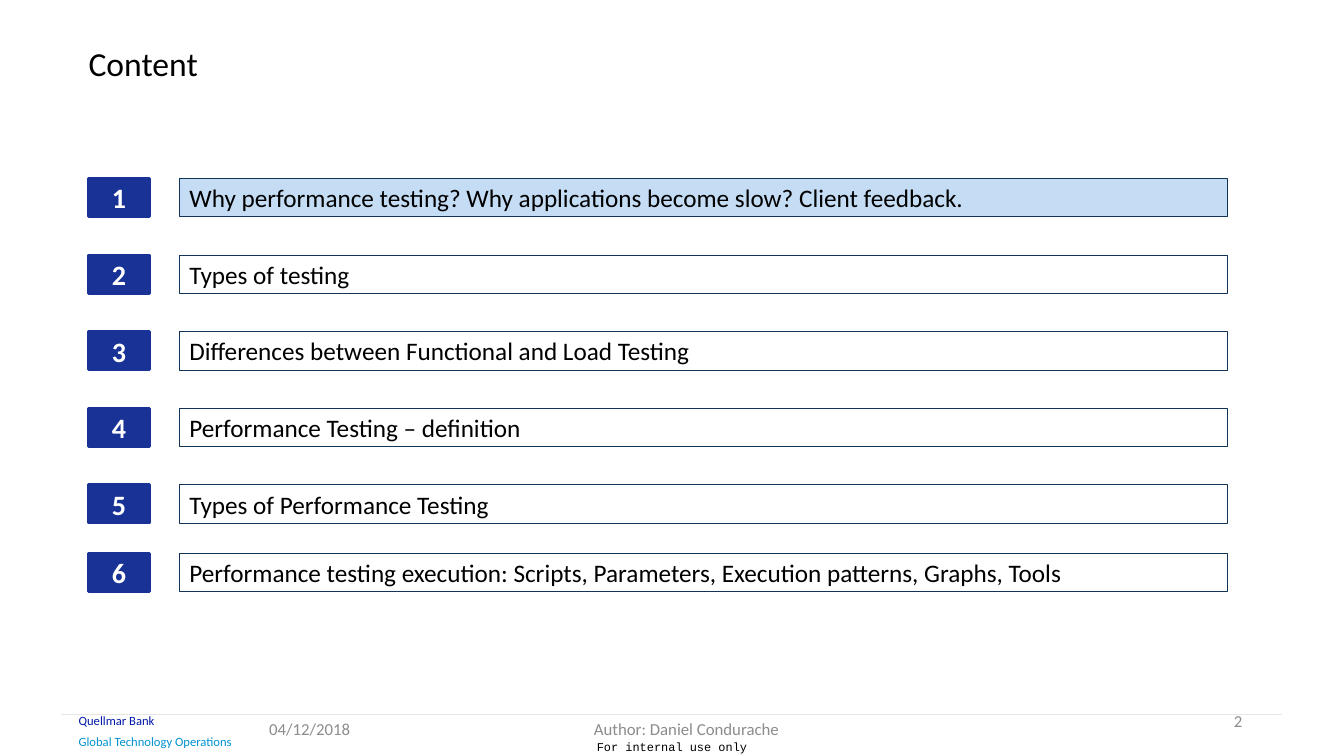
import pptx
import pptx.util
import pptx.dml.color
import pptx.enum.shapes
import pptx.enum.text
import pptx.oxml

Inches, Pt = pptx.util.Inches, pptx.util.Pt
RGBColor = pptx.dml.color.RGBColor
Align = pptx.enum.text.PP_ALIGN
Anchor = pptx.enum.text.MSO_ANCHOR

BLACK = RGBColor(0x00, 0x00, 0x00)
WHITE = RGBColor(0xFF, 0xFF, 0xFF)
GREY = RGBColor(0x8C, 0x8C, 0x8C)
RULE_GREY = RGBColor(0xE7, 0xE6, 0xE6)
NUMBER_BLUE = RGBColor(0x19, 0x32, 0x96)
OUTLINE_BLUE = RGBColor(0x12, 0x34, 0x57)
HIGHLIGHT = RGBColor(0xC4, 0xDC, 0xF4)
BANK_BLUE = RGBColor(0x00, 0x18, 0xA8)
UNIT_BLUE = RGBColor(0x00, 0x92, 0xD0)

TITLE = "Content"
TOPICS = [
    "Why performance testing? Why applications become slow? Client feedback.",
    "Types of testing",
    "Differences between Functional and Load Testing",
    "Performance Testing – definition",
    "Types of Performance Testing",
    "Performance testing execution: Scripts, Parameters, Execution patterns, Graphs, Tools",
]
CURRENT_TOPIC = 1

# text, (left, top, width, height), size, colour, alignment, anchor, font, (left inset, top inset)
LABELS = [
    (TITLE, (0.78, 0.42, 9.25, 0.59), 24, BLACK, Align.LEFT, Anchor.TOP, "Calibri", (0.1, 0.05)),
    ("For internal use only", (0, 7.29, 13.33, 0.25), 8.5, BLACK, Align.CENTER, Anchor.TOP,
     "Courier New", (0.1, 0.05)),
    ("Quellmar Bank", (0.19, 7.03, 2.2, 0.19), 9, BANK_BLUE, Align.LEFT, Anchor.TOP, "Calibri", (0.59, 0.04)),
    ("Global Technology Operations", (0.19, 7.22, 2.2, 0.28), 9, UNIT_BLUE, Align.LEFT, Anchor.TOP,
     "Calibri", (0.59, 0.06)),
    ("2", (9.42, 6.95, 3, 0.4), 12, GREY, Align.RIGHT, Anchor.MIDDLE, "Calibri", (0.1, 0.05)),
    ("04/12/2018", (2.57, 7.03, 1.39, 0.4), 12, GREY, Align.LEFT, Anchor.MIDDLE, "Calibri", (0.1, 0.05)),
    ("Author: Daniel Condurache", (4.56, 7.03, 4.5, 0.4), 12, GREY, Align.CENTER, Anchor.MIDDLE,
     "Calibri", (0.1, 0.05)),
]

FIRST_ROW, ROW_PITCH, LAST_PITCH, ROW_HEIGHT = 1.77, 0.76, 0.68, 0.38
NUMBER_LEFT, NUMBER_WIDTH = 0.88, 0.6
TOPIC_LEFT, TOPIC_WIDTH = 1.78, 10.39


def write(box, text, size, color, align, anchor, font="Calibri", bold=False):
    frame = box.text_frame
    frame.word_wrap = True
    frame.vertical_anchor = anchor
    para = frame.paragraphs[0]
    para.text = text
    para.alignment = align
    para.font.name = font
    para.font.size = Pt(size)
    para.font.bold = bold
    para.font.color.rgb = color
    if text == TITLE:
        para.line_spacing = 0.9


def add_bar(slide, left, top, width, fill, line, line_width):
    bar = slide.shapes.add_shape(
        pptx.enum.shapes.MSO_SHAPE.RECTANGLE,
        *map(Inches, (left, top, width, ROW_HEIGHT)))
    bar.shadow.inherit = False
    bar.fill.solid()
    bar.fill.fore_color.rgb = fill
    bar.line.color.rgb = line
    bar.line.width = Pt(line_width)
    return bar


def add_topic(slide, number, topic):
    top = FIRST_ROW + (number - 1) * ROW_PITCH
    if number == len(TOPICS):
        top += LAST_PITCH - ROW_PITCH
    number_box = add_bar(slide, NUMBER_LEFT, top, NUMBER_WIDTH, NUMBER_BLUE, NUMBER_BLUE, 2)
    write(number_box, str(number), 20, WHITE, Align.CENTER, Anchor.MIDDLE, bold=True)
    fill = HIGHLIGHT if number == CURRENT_TOPIC else WHITE
    topic_box = add_bar(slide, TOPIC_LEFT, top, TOPIC_WIDTH, fill, OUTLINE_BLUE, 0.5)
    write(topic_box, topic, 18, BLACK, Align.LEFT, Anchor.MIDDLE)


def add_footer_rule(slide):
    rule = slide.shapes.add_connector(
        pptx.enum.shapes.MSO_CONNECTOR.STRAIGHT, *map(Inches, (0.61, 7.09, 12.72, 7.09)))
    rule.line.color.rgb = RULE_GREY
    rule.line.width = Pt(0.75)
    rule._element.spPr.append(pptx.oxml.parse_xml(
        '<a:effectLst xmlns:a="http://schemas.openxmlformats.org/drawingml/2006/main"/>'))


def main():
    deck = pptx.Presentation()
    deck.slide_width, deck.slide_height = Inches(13.33), Inches(7.5)
    slide = deck.slides.add_slide(deck.slide_layouts[6])
    add_footer_rule(slide)
    for text, place, size, color, align, anchor, font, (inset_left, inset_top) in LABELS:
        box = slide.shapes.add_textbox(*map(Inches, place))
        box.text_frame.margin_left = Inches(inset_left)
        box.text_frame.margin_top = Inches(inset_top)
        if inset_left > 0.1:
            box.text_frame.margin_right = box.text_frame.margin_bottom = 0
        write(box, text, size, color, align, anchor, font)
    for number, topic in enumerate(TOPICS, start=1):
        add_topic(slide, number, topic)
    deck.save("out.pptx")


if __name__ == "__main__":
    main()
